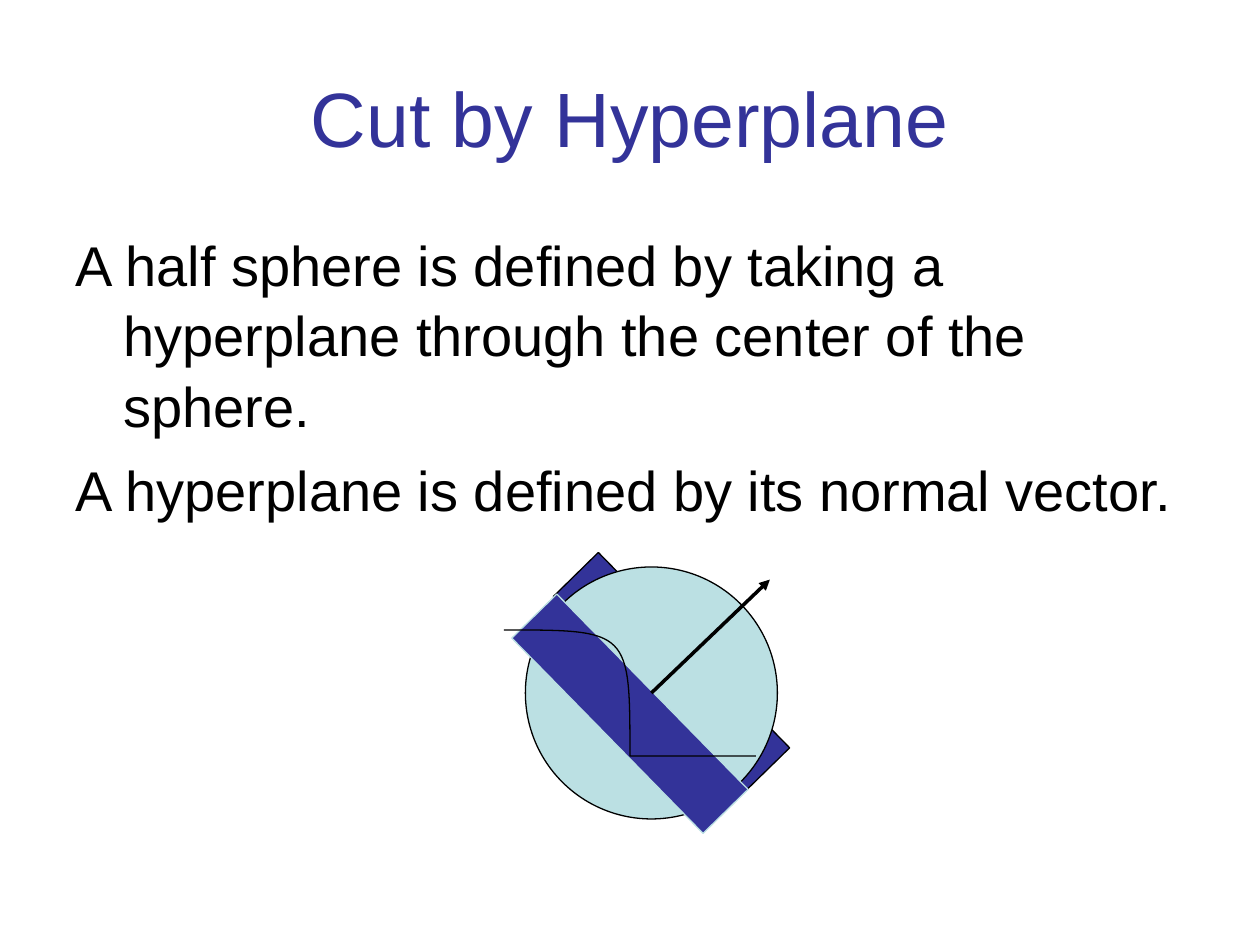
from dataclasses import dataclass

from lxml.etree import SubElement
from pptx import Presentation
from pptx.dml.color import RGBColor
from pptx.enum.shapes import MSO_CONNECTOR, MSO_SHAPE
from pptx.enum.text import MSO_ANCHOR, MSO_AUTO_SIZE, PP_ALIGN
from pptx.oxml.ns import qn
from pptx.util import Inches, Pt

WIDTH, HEIGHT = 10, 7.5
COLORS = {"ink": "000000", "plane": "333399", "sphere": "BBE0E3"}
TITLE = "Cut by Hyperplane"
BODY = [
    "A half sphere is defined by taking a hyperplane through the center of the sphere.",
    "A hyperplane is defined by its normal vector.",
]
CENTER = (5.17, 5.5)
NORMAL_TIP = (6.11, 4.6)
# Start point, then two Bézier segments of three points each
CUT_CURVE = [(4.5, 4.83), (4.63, 5.13), (4.76, 5.43), (5, 5.67),
             (5.24, 5.9), (5.76, 6.15), (5.92, 6.25)]


@dataclass
class Solid:
    preset: MSO_SHAPE
    left: float
    top: float
    width: float
    height: float
    fill: str
    line: str
    rotation: float = 0


PLANE_SIZE, PLANE_TILT = (0.5, 2.17), 315.6
BACK_PLANE = Solid(MSO_SHAPE.RECTANGLE, 5.08, 4.25, *PLANE_SIZE, "plane", "ink", PLANE_TILT)
SPHERE = Solid(MSO_SHAPE.OVAL, 4.17, 4.5, 2, 2, "sphere", "ink")
FRONT_PLANE = Solid(MSO_SHAPE.RECTANGLE, 4.75, 4.58, *PLANE_SIZE, "plane", "sphere", PLANE_TILT)


def color(name: str) -> RGBColor:
    return RGBColor.from_string(COLORS[name])


def set_line(s, name: str, width: float) -> None:
    s.line.color.rgb = color(name)
    s.line.width = Pt(width)


def add_solid(shapes, solid: Solid) -> None:
    box = map(Inches, (solid.left, solid.top, solid.width, solid.height))
    sp = shapes.add_shape(solid.preset, *box)
    sp.rotation = solid.rotation
    sp.shadow.inherit = False
    sp.fill.solid()
    sp.fill.fore_color.rgb = color(solid.fill)
    set_line(sp, solid.line, 0.75)


def add_curve(shapes, points: list[tuple[float, float]]) -> None:
    """Draw an open outline whose points after the first are cubic Bézier triples."""
    builder = shapes.build_freeform(*points[0], scale=Inches(1) / 1.0)
    builder.add_line_segments(points[1:], close=False)
    sp = builder.convert_to_shape()
    outline = next(sp._element.iter(qn("a:path")))
    for i, segment in enumerate(outline.findall(qn("a:lnTo"))):
        if i % 3 == 0:
            bezier = SubElement(outline, qn("a:cubicBezTo"))
        bezier.append(segment[0])
        outline.remove(segment)
    sp.shadow.inherit = False
    sp.fill.background()
    set_line(sp, "ink", 0.75)


def add_arrow(shapes, start: tuple[float, float], end: tuple[float, float]) -> None:
    s = shapes.add_connector(MSO_CONNECTOR.STRAIGHT, *map(Inches, start + end))
    set_line(s, "ink", 2)
    SubElement(s.line._get_or_add_ln(), qn("a:tailEnd"), type="triangle")
    SubElement(s._element.spPr, qn("a:effectLst"))


def fill_placeholder(s, top: float, height: float, texts: list[str],
                     size: float, name: str) -> None:
    s.left, s.top = Inches(0.05 * WIDTH), Inches(top * HEIGHT)
    s.width, s.height = Inches(0.9 * WIDTH), Inches(height * HEIGHT)
    tf = s.text_frame
    tf.auto_size = MSO_AUTO_SIZE.NONE
    for i, text in enumerate(texts):
        p = tf.paragraphs[0] if i == 0 else tf.add_paragraph()
        p.space_before = Pt(8 if i else 0)
        r = p.add_run()
        r.text = text
        r.font.name, r.font.size = "Arial", Pt(size)
        r.font.color.rgb = color(name)


def main() -> None:
    prs = Presentation()
    prs.slide_width, prs.slide_height = Inches(WIDTH), Inches(HEIGHT)
    slide = prs.slides.add_slide(prs.slide_layouts[1])
    title, body = slide.placeholders

    fill_placeholder(title, 0.04, 1 / 6, [TITLE], 44, "plane")
    title.text_frame.vertical_anchor = MSO_ANCHOR.MIDDLE
    title.text_frame.paragraphs[0].alignment = PP_ALIGN.CENTER

    fill_placeholder(body, 7 / 30, 0.66, BODY, 32, "ink")
    for p in body.text_frame.paragraphs:
        p.line_spacing = 1.05
        pPr = p._p.get_or_add_pPr()
        pPr.set("marL", str(Inches(0.38)))
        pPr.set("indent", str(-Inches(0.38)))
        SubElement(pPr, qn("a:buNone"))

    for solid in (BACK_PLANE, SPHERE, FRONT_PLANE):
        add_solid(slide.shapes, solid)
    add_curve(slide.shapes, CUT_CURVE)
    add_arrow(slide.shapes, CENTER, NORMAL_TIP)
    prs.save("out.pptx")


if __name__ == "__main__":
    main()
